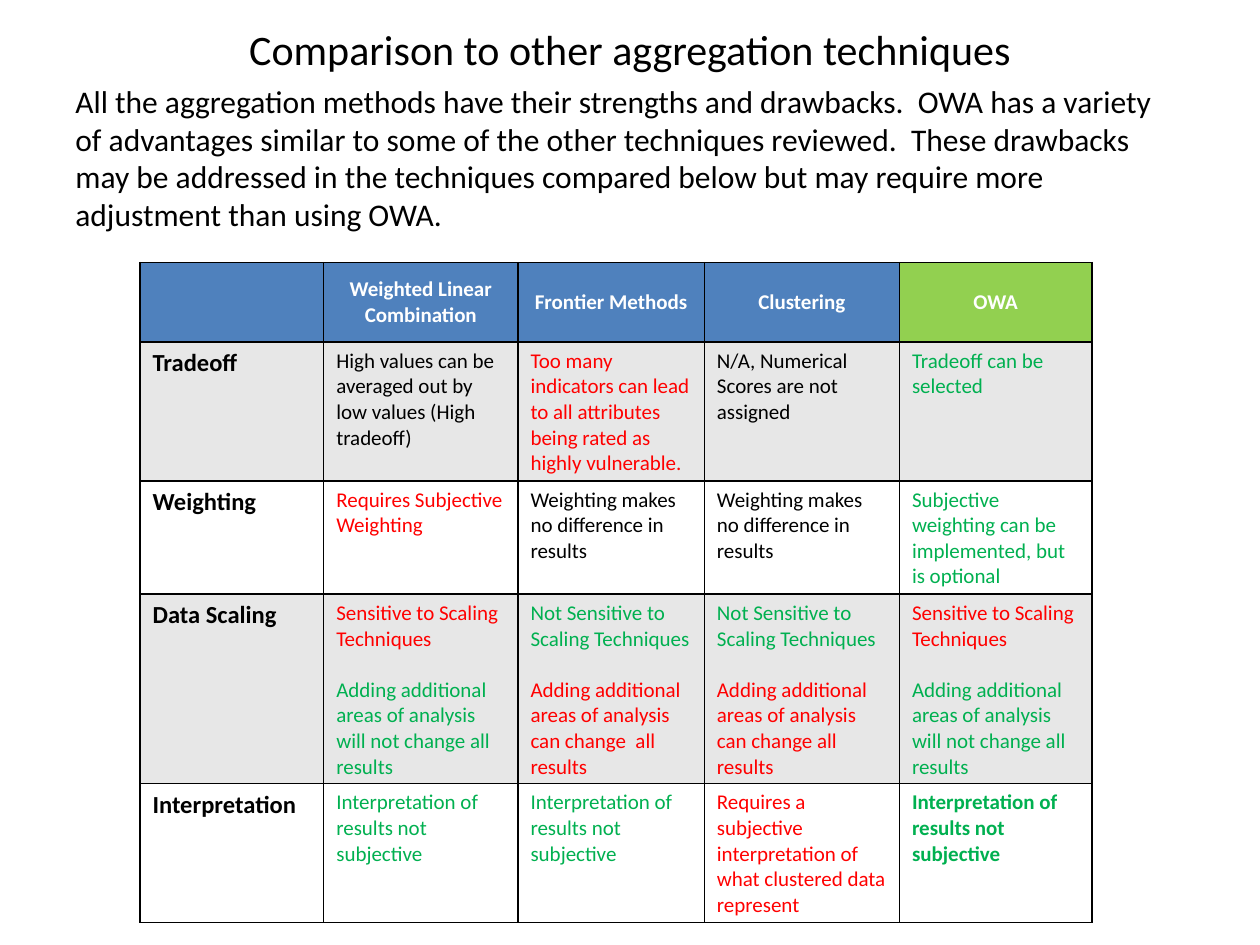
from lxml import etree
from pptx import Presentation
from pptx.dml.color import RGBColor
from pptx.enum.text import MSO_ANCHOR, MSO_AUTO_SIZE, PP_ALIGN
from pptx.oxml.ns import qn
from pptx.util import Pt

MIDDLE, TOP = MSO_ANCHOR.MIDDLE, MSO_ANCHOR.TOP
CENTER, LEFT = PP_ALIGN.CENTER, PP_ALIGN.LEFT
NO_AUTOFIT = MSO_AUTO_SIZE.NONE

BLACK = RGBColor(0x00, 0x00, 0x00)
WHITE = RGBColor(0xFF, 0xFF, 0xFF)
RED = RGBColor(0xFF, 0x00, 0x00)
GREEN = RGBColor(0x00, 0xB0, 0x50)
BLUE = RGBColor(0x4F, 0x81, 0xBD)
LIME = RGBColor(0x92, 0xD0, 0x50)
GRAY = RGBColor(0xE7, 0xE7, 0xE7)

FONT = "Calibri"
TITLE_ONLY = 5
BLANK_LINE = 14.65
COLUMN_WIDTHS = [105, 111, 106.5, 111.5, 110]
ROW_HEIGHTS = [45.5, 79.2, 64.8, 108, 79.2]

INTRODUCTION = (
    "All the aggregation methods have their strengths and drawbacks.  "
    "OWA has a variety of advantages similar to some of the other techniques reviewed.  "
    "These drawbacks may be addressed in the techniques compared below "
    "but may require more adjustment than using OWA."
)
HEADERS = ["", "Weighted Linear Combination", "Frontier Methods", "Clustering", "OWA"]
NO_DIFFERENCE = [("Weighting makes no difference in results", BLACK)]
NOT_SUBJECTIVE = [("Interpretation of results not subjective", GREEN)]
SENSITIVE = ("Sensitive to Scaling Techniques", RED)
NOT_SENSITIVE = ("Not Sensitive to Scaling Techniques", GREEN)
UNCHANGED = ("Adding additional areas of analysis will not change all results", GREEN)
CRITERIA = {
    "Tradeoff": [
        [("High values can be averaged out by low values (High tradeoff)", BLACK)],
        [("Too many indicators can lead to all attributes being rated as highly vulnerable.", RED)],
        [("N/A, Numerical Scores are not assigned", BLACK)],
        [("Tradeoff can be selected", GREEN)],
    ],
    "Weighting": [
        [("Requires Subjective Weighting", RED)],
        NO_DIFFERENCE,
        NO_DIFFERENCE,
        [("Subjective weighting can be implemented, but is optional", GREEN)],
    ],
    "Data Scaling": [
        [SENSITIVE, UNCHANGED],
        [NOT_SENSITIVE, ("Adding additional areas of analysis can change  all results", RED)],
        [NOT_SENSITIVE, ("Adding additional areas of analysis can change all results", RED)],
        [SENSITIVE, UNCHANGED],
    ],
    "Interpretation": [
        NOT_SUBJECTIVE,
        NOT_SUBJECTIVE,
        [("Requires a subjective interpretation of what clustered data represent", RED)],
        NOT_SUBJECTIVE,
    ],
}


def write_paragraph(paragraph, text, size, color=BLACK, bold=False, align=LEFT):
    paragraph.text = text
    paragraph.alignment = align
    font = paragraph.font
    font.name, font.size, font.bold = FONT, Pt(size), bold
    font.color.rgb = color


def add_title(slide, left, top, width, height):
    title = slide.shapes.title
    title.left, title.top, title.width, title.height = Pt(left), Pt(top), Pt(width), Pt(height)
    frame = title.text_frame
    frame.auto_size = NO_AUTOFIT
    frame.vertical_anchor = MIDDLE
    write_paragraph(frame.paragraphs[0], "Comparison to other aggregation techniques", 24, align=CENTER)


def add_introduction(slide, left, top, width, height):
    frame = slide.shapes.add_textbox(Pt(left), Pt(top), Pt(width), Pt(height)).text_frame
    frame.word_wrap = True
    write_paragraph(frame.paragraphs[0], INTRODUCTION, 18)


def add_borders(cell):
    properties = cell._tc.get_or_add_tcPr()
    for index, side in enumerate(("lnL", "lnR", "lnT", "lnB")):
        line = etree.Element(qn(f"a:{side}"), w=str(Pt(1)))
        fill = etree.SubElement(line, qn("a:solidFill"))
        etree.SubElement(fill, qn("a:srgbClr"), val=str(BLACK))
        properties.insert(index, line)


def fill_cell(cell, parts, fill, size=12, bold=False, align=LEFT, anchor=TOP):
    cell.fill.solid()
    cell.fill.fore_color.rgb = fill
    cell.vertical_anchor = anchor
    add_borders(cell)
    frame = cell.text_frame
    for index, (text, color) in enumerate(parts):
        paragraph = frame.add_paragraph() if index else frame.paragraphs[0]
        write_paragraph(paragraph, text, size, color, bold, align)
        if index:
            paragraph.space_before = Pt(BLANK_LINE)


def add_comparison_table(slide, left, top):
    table = slide.shapes.add_table(
        len(ROW_HEIGHTS), len(COLUMN_WIDTHS), Pt(left), Pt(top),
        Pt(sum(COLUMN_WIDTHS)), Pt(sum(ROW_HEIGHTS)),
    ).table
    table.horz_banding = False
    for column, width in zip(table.columns, COLUMN_WIDTHS):
        column.width = Pt(width)
    for row, height in zip(table.rows, ROW_HEIGHTS):
        row.height = Pt(height)
    for column, header in enumerate(HEADERS):
        fill = LIME if header == "OWA" else BLUE
        fill_cell(table.cell(0, column), [(header, WHITE)], fill, bold=True, align=CENTER, anchor=MIDDLE)
    for row, (criterion, entries) in enumerate(CRITERIA.items(), start=1):
        fill = GRAY if row % 2 else WHITE
        fill_cell(table.cell(row, 0), [(criterion, BLACK)], fill, size=14, bold=True)
        for column, parts in enumerate(entries, start=1):
            emphasized = criterion == "Interpretation" and HEADERS[column] == "OWA"
            fill_cell(table.cell(row, column), parts, fill, bold=emphasized)


def main():
    presentation = Presentation()
    presentation.slide_width, presentation.slide_height = Pt(720), Pt(540)
    slide = presentation.slides.add_slide(presentation.slide_layouts[TITLE_ONLY])
    add_title(slide, 54, -30, 612, 116)
    add_introduction(slide, 36, 43.2, 636, 94.5)
    add_comparison_table(slide, 80, 150)
    presentation.save("out.pptx")


if __name__ == "__main__":
    main()
